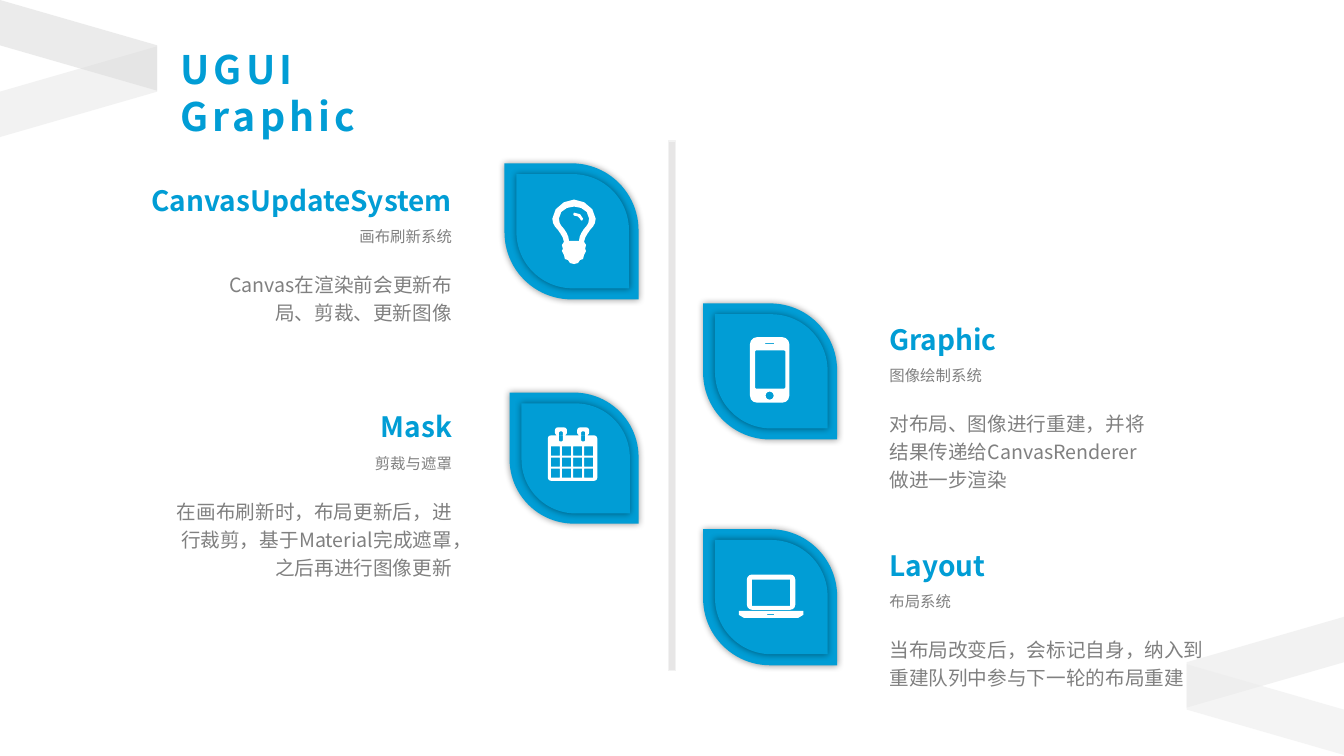
import math
from dataclasses import dataclass

from lxml import etree
from pptx import Presentation
from pptx import util as u
from pptx.dml.color import RGBColor
from pptx.enum import shapes, text
from pptx.oxml import parse_xml
from pptx.oxml.ns import nsdecls, qn


@dataclass(frozen=True)
class Theme:
    font: str = "Noto Sans CJK SC"
    blue: str = "019DD5"
    grey: str = "808080"
    white: str = "FFFFFF"
    divider: str = "E7E6E6"
    divider_edge: str = "F2F2F2"
    band_light: str = "F2F2F2"
    band_left: str = "D9D9D9"
    band_right: str = "EBEBEB"
    title: int = 28
    heading: int = 20
    caption: int = 11
    body: int = 14


THEME = Theme()
LEFT, RIGHT = text.PP_ALIGN.LEFT, text.PP_ALIGN.RIGHT
COLUMNS, ROWS = 133.33, 75


def cell(count):
    """Length of a number of grid cells, each a tenth of an inch."""
    return u.Inches(count / 10)


# Formatting
def paint(shape, color, opacity=100):
    shape.shadow.inherit = False
    shape.fill.solid()
    shape.fill.fore_color.rgb = RGBColor.from_string(color)
    shape.line.fill.background()
    if opacity < 100:
        tone = shape.fill._xPr.find(qn("a:solidFill"))[0]
        etree.SubElement(tone, qn("a:alpha"), val=str(opacity * 1000))


def glow(shape):
    effects = shape._element.spPr.find(qn("a:effectLst"))
    effects.append(parse_xml(
        f'<a:outerShdw {nsdecls("a")} blurRad="{u.Pt(5)}" dist="0" dir="0" algn="ctr" '
        'rotWithShape="0"><a:srgbClr val="000000"><a:alpha val="40000"/></a:srgbClr>'
        '</a:outerShdw>'))


def style(para, size, color, align, bold=False, tracking=0):
    para.alignment = align
    for span in para.runs:
        span.font.name = THEME.font
        span.font.size = u.Pt(size)
        span.font.bold = bold
        span.font.color.rgb = RGBColor.from_string(color)
        props = span.font._element
        props.find(qn("a:latin")).addnext(
            props.makeelement(qn("a:ea"), {"typeface": THEME.font}))
        if tracking:
            props.set("spc", str(tracking * 100))


def set_frame(frame, insets, anchor, wrap=True):
    frame.auto_size = text.MSO_AUTO_SIZE.NONE
    frame.word_wrap = wrap
    frame.vertical_anchor = anchor
    (frame.margin_left, frame.margin_top,
     frame.margin_right, frame.margin_bottom) = map(cell, insets)


# Outlines, all in grid cells
def rounded(left, top, width, height, radius=0.0):
    right, bottom = left + width, top + height
    if not radius:
        return [(right, bottom), (left, bottom), (left, top), (right, top)]
    steps = 3 if radius >= 0.3 else 1
    corners = ((right - radius, bottom - radius), (left + radius, bottom - radius),
               (left + radius, top + radius), (right - radius, top + radius))
    return [(x + radius * math.cos(angle), y + radius * math.sin(angle))
            for turn, (x, y) in enumerate(corners)
            for angle in (math.pi / 2 * (turn + step / steps) for step in range(steps + 1))]


def curve(start, *segments, steps=3):
    points = [start]
    for ax, ay, bx, by, cx, cy in segments:
        x, y = points[-1]
        for t in (step / steps for step in range(1, steps + 1)):
            weights = ((1 - t) ** 3, 3 * t * (1 - t) ** 2, 3 * t * t * (1 - t), t ** 3)
            points.append((sum(w * p for w, p in zip(weights, (x, ax, bx, cx))),
                           sum(w * p for w, p in zip(weights, (y, ay, by, cy)))))
    return points


def mirrored(half):
    return half + [(-x, y) for x, y in reversed(half)]


def bulb():
    glass = curve((0, 0), (1, 0, 2.15, .9, 2.15, 1.9), (2.15, 2.4, 1.9, 2.7, 1.6, 3),
                  (1.4, 3.3, 1, 3.8, 1, 4.2))
    base = [(1.2, 4.5), (1.1, 4.9), (1.2, 5.1), (1, 5.5), (.9, 5.9), (.6, 6), (.4, 6.3), (0, 6.4)]
    hollow = curve((0, .7), (.7, .7, 1.5, 1.1, 1.5, 1.9), (1.5, 2.4, 1.2, 2.7, 1, 2.9),
                   (.7, 3.3, .5, 3.7, .5, 4.1))
    glint = curve((.8, 2.1), (.7, 2.1, .6, 2, .6, 1.9), (.6, 1.7, .2, 1.6, 0, 1.6),
                  (-.1, 1.6, -.1, 1.3, 0, 1.3), (.4, 1.3, .9, 1.5, .9, 1.9), steps=2)
    return [mirrored(glass + base), mirrored(hollow), glint]


def calendar():
    days = [rounded(.3 + 1.1 * column, 1.9 + 1.1 * row, .9, .9)
            for row in range(3) for column in range(4)]
    rings = [part for left in (.7, 2.9)
             for part in (rounded(left, 0, 1.2, .8, .3), rounded(left + .4, .4, .4, 1, .1))]
    return [rounded(0, .8, 4.9, 4.5, .3)] + days + rings


def phone():
    return [rounded(0, 0, 3.9, 6.5, .7), rounded(.5, 1.3, 3, 3.8, .1),
            rounded(1.5, .6, .9, .1), rounded(1.55, 5.4, .8, .8, .4)]


def laptop():
    return [rounded(.8, 0, 4.8, 3.5, .5), rounded(1.3, .5, 3.8, 2.6),
            [(0, 3.6), (6.4, 3.6), (6.4, 4), (5.9, 4.3), (.5, 4.3), (0, 4)],
            rounded(2.8, 3.9, .7, .1)]


# Elements
def add_outline(page, contours, color, opacity=100):
    contours = [[(cell(x), cell(y)) for x, y in contour] for contour in contours]
    builder = page.shapes.build_freeform(*contours[0][0])
    for index, contour in enumerate(contours):
        if index:
            builder.move_to(*contour[0])
        builder.add_line_segments(contour[1:], close=True)
    paint(builder.convert_to_shape(), color, opacity)


def add_band(page, left, start, end, color, opacity=100):
    width, depth = 15.6, 4.5
    add_outline(page, [[(left, start), (left + width, end), (left + width, end + depth),
                        (left, start + depth)]], color, opacity)


def add_icon(page, contours, center_x, center_y):
    xs, ys = zip(*(point for contour in contours for point in contour))
    dx = center_x - (min(xs) + max(xs)) / 2
    dy = center_y - (min(ys) + max(ys)) / 2
    add_outline(page, [[(x + dx, y + dy) for x, y in contour] for contour in contours],
                THEME.white)


def add_leaf(page, left, top, size):
    for dx, dy, share in ((0, 0, 1), (1.2, 1.05, 0.84)):
        leaf = page.shapes.add_shape(
            shapes.MSO_SHAPE.ROUND_2_DIAG_RECTANGLE, cell(left + dx), cell(top + dy),
            cell(size * share), cell((size - 0.2) * share))
        leaf.adjustments[0], leaf.adjustments[1] = 0.5, 0
        leaf.rotation = 270
        paint(leaf, THEME.blue)
        glow(leaf)


def add_heading(page, label, left, top, width, align, insets, anchor):
    box = page.shapes.add_textbox(cell(left), cell(top), cell(width), cell(3.5))
    set_frame(box.text_frame, (insets[0], 0, insets[1], 0), anchor, wrap=False)
    box.text_frame.text = label
    style(box.text_frame.paragraphs[0], THEME.heading, THEME.blue, align, bold=True)


def add_description(page, caption, body, left, top, width, height, align, insets):
    box = page.shapes.add_textbox(cell(left), cell(top), cell(width), cell(height))
    set_frame(box.text_frame, (insets[0], .5, insets[1], .5), text.MSO_ANCHOR.TOP)
    box.text_frame.text = f"{caption}\n{body}"
    for para, size in zip(box.text_frame.paragraphs, (THEME.caption, THEME.body)):
        style(para, size, THEME.grey, align)
        para.line_spacing = 1.2
    para.space_before = u.Pt(16)


def add_topic(page, side, top, heading, caption, body, icon, icon_center, heading_width,
              width, height, leaf=13.5):
    on_left = side == LEFT
    # Leaves line up on their right edge, texts on the edge facing the leaves
    add_leaf(page, (63.45 if on_left else 83.15) - leaf, top - 1.7 + (13.5 - leaf) / 2, leaf)
    add_icon(page, icon, *icon_center)
    if on_left:
        align, anchor, insets, drop = RIGHT, text.MSO_ANCHOR.BOTTOM, (1, 5.2), 3.7
    else:
        align, anchor, insets, drop = LEFT, text.MSO_ANCHOR.MIDDLE, (5.2, 3.1), 3.58
    heading_left, body_left = (50.05 - span if on_left else 83.03
                               for span in (heading_width, width))
    add_heading(page, heading, heading_left, top, heading_width, align, insets, anchor)
    add_description(page, caption, body, body_left, top + drop, width, height, align, insets)


def set_title(page, label):
    box = page.shapes.title
    box.left, box.top, box.width, box.height = map(cell, (16.9, 4, 30.6, 5.7))
    set_frame(box.text_frame, (1, .5, 3, .5), text.MSO_ANCHOR.TOP)
    box.text_frame.text = label
    style(box.text_frame.paragraphs[0], THEME.title, THEME.blue, LEFT, bold=True, tracking=3)


def main():
    deck = Presentation()
    deck.slide_width, deck.slide_height = cell(COLUMNS), cell(ROWS)
    page = deck.slides.add_slide(deck.slide_layouts[5])

    # Corner bands
    for left, rising, falling, color in ((COLUMNS - 15.6, 65.7, 65.9, THEME.band_right),
                                         (0, 9.1, 0, THEME.band_left)):
        add_band(page, left, rising, rising - 4.5, THEME.band_light)
        add_band(page, left, falling, falling + 4.5, color, 50)

    # Title and divider
    set_title(page, "UGUI Graphic")
    divider = page.shapes.add_shape(shapes.MSO_SHAPE.RECTANGLE, *map(cell, (66.3, 14, .7, 52.5)))
    paint(divider, THEME.divider)
    divider.line.color.rgb = RGBColor.from_string(THEME.divider_edge)
    divider.line.width = u.Pt(1)

    # Topics on both sides
    add_topic(page, LEFT, 18, "CanvasUpdateSystem", "画布刷新系统",
              "Canvas在渲染前会更新布局、剪裁、更新图像",
              bulb(), (56.95, 23), 31.3, 28.9, 11.3)
    add_topic(page, LEFT, 40.5, "Mask", "剪裁与遮罩",
              "在画布刷新时，布局更新后，进行裁剪，基于Material完成遮罩，之后再进行图像更新",
              calendar(), (56.8, 45.05), 15.8, 33.8, 14.6, leaf=13)
    add_topic(page, RIGHT, 31.9, "Graphic", "图像绘制系统",
              "对布局、图像进行重建，并将结果传递给CanvasRenderer做进一步渲染",
              phone(), (76.35, 36.7), 18.1, 34.2, 13.5)
    add_topic(page, RIGHT, 54.3, "Layout", "布局系统",
              "当布局改变后，会标记自身，纳入到重建队列中参与下一轮的布局重建",
              laptop(), (76.5, 59.15), 18.1, 40.8, 11.3)

    deck.save("out.pptx")


if __name__ == "__main__":
    main()
